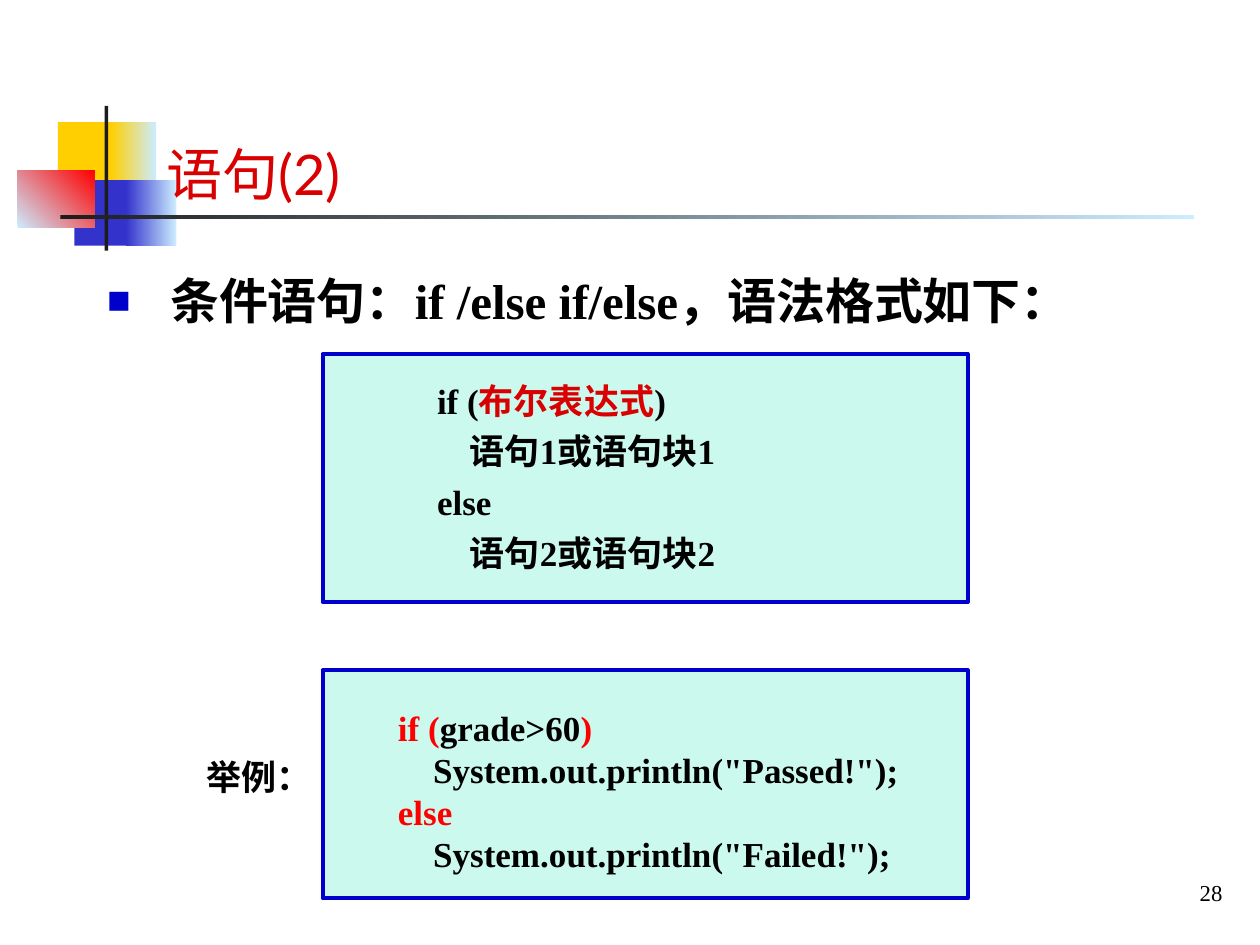
from lxml.etree import SubElement
from pptx import Presentation
from pptx.dml.color import RGBColor
from pptx.enum.shapes import MSO_SHAPE
from pptx.enum.text import MSO_ANCHOR, MSO_AUTO_SIZE, PP_ALIGN
from pptx.oxml.ns import qn
from pptx.util import Inches, Pt

HUES = {
    "gold": "FFCF01", "sky": "CCECFF", "blue": "3333CC", "red": "FF0000",
    "dark": "1C1C1C", "edge": "0000CC", "mint": "00E4A8", "title": "D80000",
    "black": "000000",
}
SERIF = "Times New Roman"


def hue(name):
    return RGBColor.from_string(HUES[name])


def place(shape, box):
    shape.left, shape.top, shape.width, shape.height = map(Inches, box)


def write(para, text, size=20, color="black", bold=True, font=SERIF):
    run = para.add_run()
    run.text = text
    run.font.size = Pt(size)
    run.font.bold = bold
    run.font.name = font
    run.font.color.rgb = hue(color)


def set_frame(shape, wrap=True, anchor=MSO_ANCHOR.TOP):
    frame = shape.text_frame
    frame.auto_size = MSO_AUTO_SIZE.NONE
    frame.word_wrap = wrap
    frame.vertical_anchor = anchor
    return frame


def add_text(slide, box, **keys):
    return set_frame(slide.shapes.add_textbox(*map(Inches, box)), **keys)


def add_rect(slide, box, color, end=None, angle=0):
    rect = slide.shapes.add_shape(MSO_SHAPE.RECTANGLE, *map(Inches, box))
    rect.shadow.inherit = False
    rect.line.fill.background()
    if end:
        rect.fill.gradient()
        rect.fill.gradient_angle = angle
        for stop, name in zip(rect.fill.gradient_stops, (color, end)):
            stop.color.rgb = hue(name)
    else:
        rect.fill.solid()
        rect.fill.fore_color.rgb = hue(color)
    return rect


def add_art(slide, left, top):
    parts = [
        (0.32, 0.13, 0.48, 0.52, "gold"),
        (0.74, 0.13, 0.36, 0.52, "gold", "sky"),
        (0.45, 0.59, 0.46, 0.52, "blue"),
        (0.86, 0.59, 0.4, 0.52, "blue", "sky"),
        (0, 0.51, 0.61, 0.46, "sky", "red", 45),
        (0.69, 0, 0.03, 1.15, "dark"),
        (0.34, 0.87, 9, 0.03, "dark", "sky"),
    ]
    for x, y, wide, high, *paint in parts:
        add_rect(slide, (left + x, top + y, wide, high), *paint)


def add_title(slide, box, text):
    title = slide.shapes.title
    slide.shapes._spTree.append(title._element)
    place(title, box)
    para = set_frame(title, anchor=MSO_ANCHOR.BOTTOM).paragraphs[0]
    para.alignment = PP_ALIGN.LEFT
    write(para, text, size=32, color="title", bold=False, font="Lato")


def add_list(slide, box, text):
    body = slide.placeholders[1]
    slide.shapes._spTree.append(body._element)
    place(body, box)
    para = set_frame(body).paragraphs[0]
    para.space_before = Pt(7)
    props = para._p.get_or_add_pPr()
    props.set("marL", str(Inches(0.5)))
    props.set("indent", str(-Inches(0.5)))
    tint = SubElement(props, qn("a:buClr"))
    SubElement(tint, qn("a:srgbClr"), val=HUES["edge"])
    SubElement(props, qn("a:buSzPct"), val="80000")
    SubElement(props, qn("a:buChar"), char="■")
    write(para, text, size=28)


def add_code(slide, box, shift, lines, gap=0):
    left, top, wide, high = box
    panel = add_rect(slide, box, "mint")
    solid = panel.fill._xPr.find(qn("a:solidFill"))
    SubElement(solid[0], qn("a:alpha"), val="20000")
    panel.line.color.rgb = hue("edge")
    panel.line.width = Pt(2.25)
    x, y = shift
    frame = add_text(slide, (left + x, top + y, wide - x, high - y))
    for spot, (inset, runs) in enumerate(lines):
        para = frame.add_paragraph() if spot else frame.paragraphs[0]
        para.space_before = Pt(gap)
        para._p.get_or_add_pPr().set("marL", str(Inches(0.5 + inset)))
        for text, color in runs:
            write(para, text, color=color)


def add_label(slide, box, text, size=20, bold=True, align=PP_ALIGN.LEFT, **keys):
    para = add_text(slide, box, wrap=False, **keys).paragraphs[0]
    para.alignment = align
    write(para, text, size=size, bold=bold)


def main():
    deck = Presentation()
    deck.slide_width, deck.slide_height = Inches(10), Inches(7.5)
    slide = deck.slides.add_slide(deck.slide_layouts[1])
    add_art(slide, 0.14, 0.84)
    add_title(slide, (1.22, 0.6, 8.42, 1.09), "语句(2)")
    add_list(slide, (0.75, 2.1, 8.19, 0.57),
             "条件语句：if /else if/else，语法格式如下：")
    add_code(slide, (2.56, 2.81, 5.12, 1.97), (0.31, 0.15), [
        (0, [("if (", "black"), ("布尔表达式", "title"), (")", "black")]),
        (0.26, [("语句1或语句块1", "black")]),
        (0, [("else", "black")]),
        (0.26, [("语句2或语句块2", "black")]),
    ], gap=5)
    add_code(slide, (2.56, 5.32, 5.12, 1.81), (0, 0.24), [
        (0, [("if (", "red"), ("grade>60", "black"), (")", "red")]),
        (0.28, [('System.out.println("Passed!");', "black")]),
        (0, [("else", "red")]),
        (0.28, [('System.out.println("Failed!");', "black")]),
    ])
    add_label(slide, (1.54, 5.95, 1.03, 0.44), "举例：")
    add_label(slide, (7.89, 6.9, 1.91, 0.37), "28", size=13, bold=False,
              align=PP_ALIGN.RIGHT, anchor=MSO_ANCHOR.MIDDLE)
    deck.save("out.pptx")


if __name__ == "__main__":
    main()
